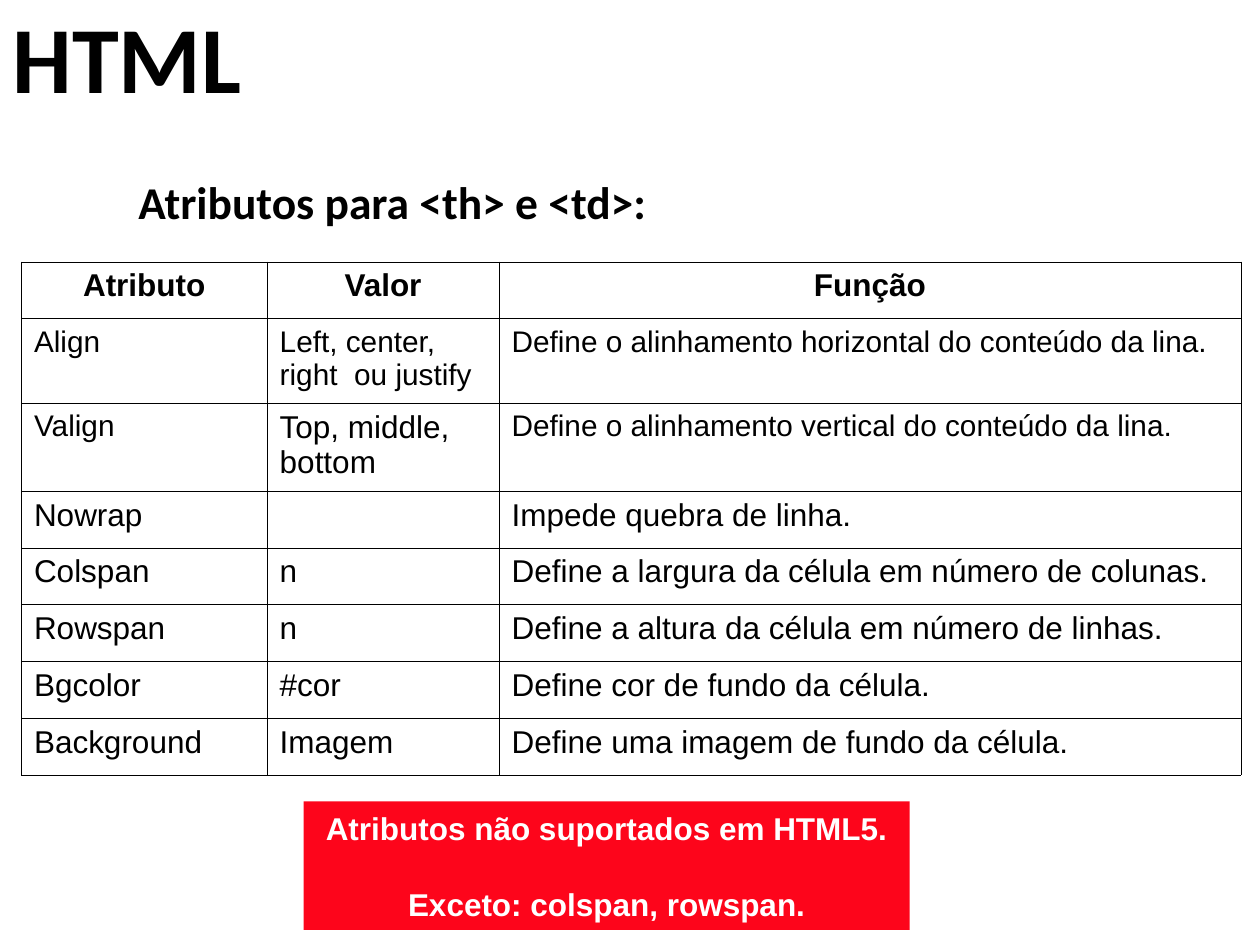
import pptx
import pptx.dml.color
import pptx.enum.shapes
import pptx.enum.text
import pptx.oxml
import pptx.oxml.ns
import pptx.util
from pptx.util import Inches

ALIGN = pptx.enum.text.PP_ALIGN
ANCHOR = pptx.enum.text.MSO_ANCHOR
BLACK = "000000"
WHITE = "FFFFFF"
RED = "FD051B"
COLUMN_WIDTHS = [1.95, 1.84, 5.89]
ROW_HEIGHTS = [0.45, 0.67, 0.7] + [0.45] * 5
ATTRIBUTES = [
    ("Atributo", "Valor", "Função"),
    ("Align", "Left, center, right  ou justify", "Define o alinhamento horizontal do conteúdo da lina."),
    ("Valign", "Top, middle, bottom", "Define o alinhamento vertical do conteúdo da lina."),
    ("Nowrap", "", "Impede quebra de linha."),
    ("Colspan", "n", "Define a largura da célula em número de colunas."),
    ("Rowspan", "n", "Define a altura da célula em número de linhas."),
    ("Bgcolor", "#cor", "Define cor de fundo da célula."),
    ("Background", "Imagem", "Define uma imagem de fundo da célula."),
]
SMALL_CELLS = {(1, 0), (1, 1), (1, 2), (2, 0), (2, 2)}


def color(value):
    return pptx.dml.color.RGBColor.from_string(value)


def place(shape, left, top, width, height):
    shape.left, shape.top = Inches(left), Inches(top)
    shape.width, shape.height = Inches(width), Inches(height)


def add_run(paragraph, text, size, font="Arial", fill=BLACK, bold=False, alignment=ALIGN.LEFT):
    paragraph.alignment = alignment
    run = paragraph.add_run()
    run.text = text
    run.font.name = font
    run.font.size = pptx.util.Pt(size)
    run.font.bold = bold
    run.font.color.rgb = color(fill)


def add_heading(frame, text, size, anchor):
    frame.word_wrap = True
    frame.auto_size = pptx.enum.text.MSO_AUTO_SIZE.NONE
    frame.vertical_anchor = anchor
    paragraph = frame.paragraphs[0]
    paragraph.line_spacing = 0.9
    add_run(paragraph, text, size, "Calibri", bold=True)


def add_borders(cell):
    properties = cell._tc.get_or_add_tcPr()
    for side in ("lnL", "lnR", "lnT", "lnB"):
        properties.append(pptx.oxml.parse_xml(
            f'<a:{side} {pptx.oxml.ns.nsdecls("a")} w="{pptx.util.Pt(0.45)}">'
            f'<a:solidFill><a:srgbClr val="{BLACK}"/></a:solidFill></a:{side}>'))


def add_attribute_table(slide):
    table = slide.shapes.add_table(
        len(ROW_HEIGHTS), len(COLUMN_WIDTHS), Inches(0.17), Inches(2.08),
        Inches(sum(COLUMN_WIDTHS)), Inches(sum(ROW_HEIGHTS))).table
    table.first_row = False
    table.horz_banding = False
    for column, width in zip(table.columns, COLUMN_WIDTHS):
        column.width = Inches(width)
    for row_index, texts in enumerate(ATTRIBUTES):
        table.rows[row_index].height = Inches(ROW_HEIGHTS[row_index])
        header = row_index == 0
        for column_index, text in enumerate(texts):
            cell = table.cell(row_index, column_index)
            add_borders(cell)
            cell.fill.background()
            if text:
                size = 17 if (row_index, column_index) in SMALL_CELLS else 18
                add_run(cell.text_frame.paragraphs[0], text, size, bold=header,
                        alignment=ALIGN.CENTER if header else ALIGN.LEFT)


def add_notice(slide, lines):
    shape = slide.shapes.add_shape(
        pptx.enum.shapes.MSO_SHAPE.RECTANGLE,
        Inches(2.41), Inches(6.36), Inches(4.81), Inches(1.02))
    shape.shadow.inherit = False
    shape.fill.solid()
    shape.fill.fore_color.rgb = color(RED)
    shape.line.fill.background()
    frame = shape.text_frame
    frame.word_wrap = False
    frame.vertical_anchor = ANCHOR.MIDDLE
    for index, line in enumerate(lines):
        paragraph = frame.add_paragraph() if index else frame.paragraphs[0]
        if index:
            paragraph.space_before = pptx.util.Pt(21.8)
        add_run(paragraph, line, 18, fill=WHITE, bold=True, alignment=ALIGN.CENTER)


def main():
    presentation = pptx.Presentation()
    presentation.slide_width = Inches(10)
    presentation.slide_height = Inches(7.5)
    slide = presentation.slides.add_slide(presentation.slide_layouts[5])
    title = slide.shapes.title
    place(title, 0, -0.13, 9, 1.25)
    add_heading(title.text_frame, "HTML", 54, ANCHOR.MIDDLE)
    subtitle = slide.shapes.add_textbox(Inches(1), Inches(1.38), Inches(9), Inches(0.6))
    add_heading(subtitle.text_frame, "Atributos para <th> e <td>:", 26, ANCHOR.TOP)
    add_attribute_table(slide)
    add_notice(slide, ["Atributos não suportados em HTML5.", "Exceto: colspan, rowspan."])
    presentation.save("out.pptx")


if __name__ == "__main__":
    main()
